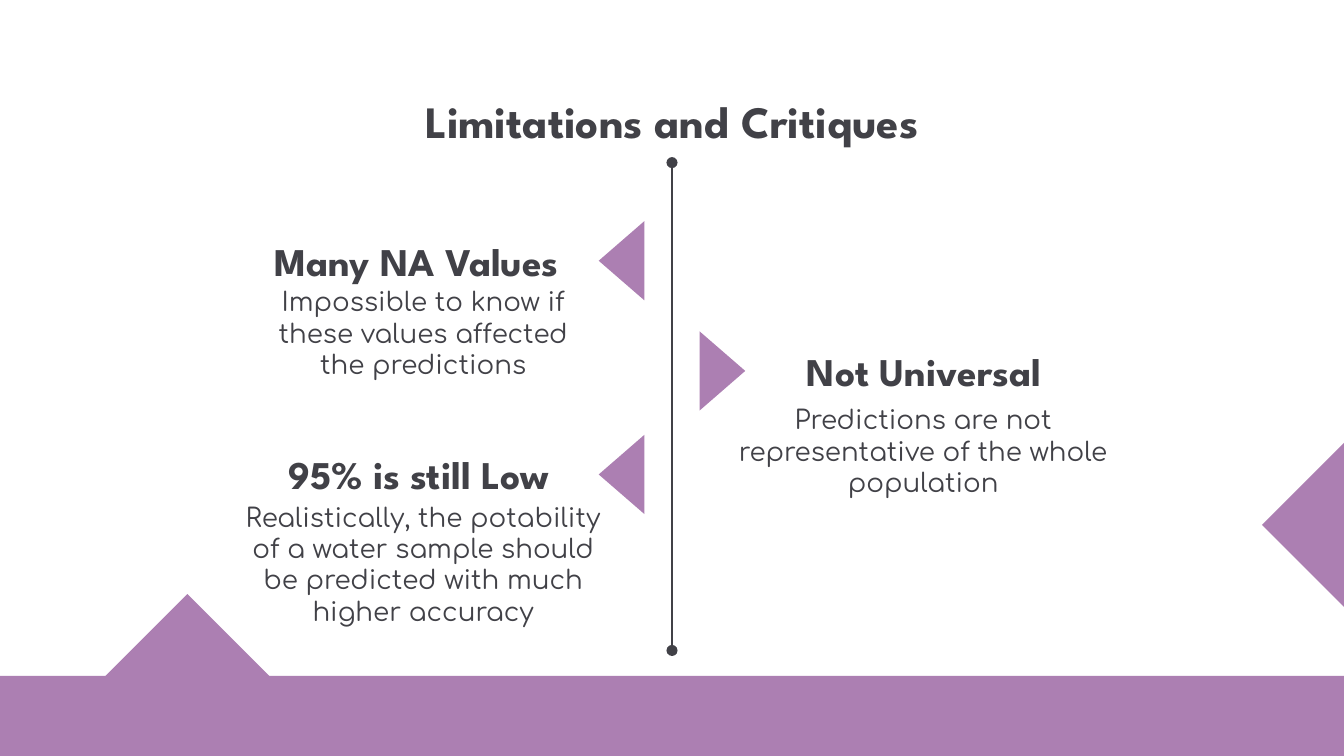
import pptx
import pptx.util
import pptx.dml.color
import pptx.enum.shapes
import pptx.enum.text
import pptx.oxml.ns
import lxml.etree

PURPLE = pptx.dml.color.RGBColor(0xAC, 0x7F, 0xB2)
INK = pptx.dml.color.RGBColor(0x41, 0x41, 0x47)
WHITE = pptx.dml.color.RGBColor(0xFF, 0xFF, 0xFF)
SHAPE = pptx.enum.shapes.MSO_SHAPE

# Font settings for each text role
FORMATS = {
    "title": {"name": "League Spartan", "size": pptx.util.Pt(24), "bold": True},
    "heading": {"name": "League Spartan", "size": pptx.util.Pt(21), "bold": True},
    "body": {"name": "Comfortaa", "size": pptx.util.Pt(14), "bold": False},
}


class Deck:
    """Holds the style and the current slide; lengths are grid columns and rows."""

    COLS, ROWS = 100, 56.25

    def __init__(self, width, height):
        self.prs = pptx.Presentation()
        self.prs.slide_width = pptx.util.Inches(width)
        self.prs.slide_height = pptx.util.Inches(height)
        self.s = self.prs.slides.add_slide(self.prs.slide_layouts[6])
        self.s.background.fill.solid()
        self.s.background.fill.fore_color.rgb = WHITE

    def x(self, cols):
        return round(self.prs.slide_width * cols / self.COLS)

    def y(self, rows):
        return round(self.prs.slide_height * rows / self.ROWS)

    def box(self, left, top, width, height):
        return self.x(left), self.y(top), self.x(width), self.y(height)

    def shape(self, kind, left, top, width, height, rotation=0):
        sp = self.s.shapes.add_shape(kind, *self.box(left, top, width, height))
        sp.rotation = rotation
        sp.shadow.inherit = False
        sp.fill.solid()
        sp.fill.fore_color.rgb = PURPLE
        sp.line.fill.background()

    def text(self, role, words, left, top, width, height):
        sp = self.s.shapes.add_textbox(*self.box(left, top, width, height))
        tf = sp.text_frame
        tf.word_wrap = True
        tf.vertical_anchor = pptx.enum.text.MSO_ANCHOR.MIDDLE
        for side in ("left", "top", "right", "bottom"):
            setattr(tf, f"margin_{side}", pptx.util.Inches(0.1))
        p = tf.paragraphs[0]
        p.alignment = pptx.enum.text.PP_ALIGN.CENTER
        r = p.add_run()
        r.text = words
        for key, value in FORMATS[role].items():
            setattr(r.font, key, value)
        r.font.color.rgb = INK

    def axis(self, col, top, bottom):
        sp = self.s.shapes.add_connector(
            pptx.enum.shapes.MSO_CONNECTOR.STRAIGHT,
            self.x(col), self.y(top), self.x(col), self.y(bottom))
        sp.line.color.rgb = INK
        sp.line.width = pptx.util.Pt(0.75)
        ln = sp.line._get_or_add_ln()
        for end in ("a:headEnd", "a:tailEnd"):
            lxml.etree.SubElement(ln, pptx.oxml.ns.qn(end), type="oval")
        lxml.etree.SubElement(sp._element.spPr, pptx.oxml.ns.qn("a:effectLst"))


def main():
    deck = Deck(10, 10 * 9 / 16)

    # Floor band and the two turned squares
    deck.shape(SHAPE.RECTANGLE, -0.1, 50.3, 100.2, 6)
    for left, top in ((95.7, 34.7), (9.6, 46)):
        deck.shape(SHAPE.RECTANGLE, left, top, 8.7, 8.7, 315)

    # Title and central axis
    deck.text("title", "Limitations and Critiques", 7.8, 5.8, 84.4, 6.3)
    deck.axis(50, 12.1, 48.4)

    # Pointers on either side of the axis
    for left, top, rotation in ((43.3, 17.7, 270), (43.3, 33.6, 270), (50.8, 25.9, 90)):
        deck.shape(SHAPE.ISOSCELES_TRIANGLE, left, top, 5.9, 3.4, rotation)

    # Limitations: heading with its box, then explanation with its box
    limitations = (
        ("Many NA Values", (18, 17.5, 26, 3.8),
         "Impossible to know if these values affected the predictions",
         (18.5, 21.8, 26, 5.9)),
        ("Not Universal", (56, 25.7, 25.5, 3.8),
         "Predictions are not representative of the whole population",
         (52.3, 30.6, 32.8, 5.9)),
        ("95% is still Low ", (19, 31.5, 25.1, 7.5),
         "Realistically, the potability of a water sample should be predicted "
         "with much higher accuracy",
         (16.8, 39, 29.4, 5.9)),
    )
    for heading, heading_box, body, body_box in limitations:
        deck.text("heading", heading, *heading_box)
        deck.text("body", body, *body_box)

    deck.prs.save("out.pptx")


if __name__ == "__main__":
    main()
